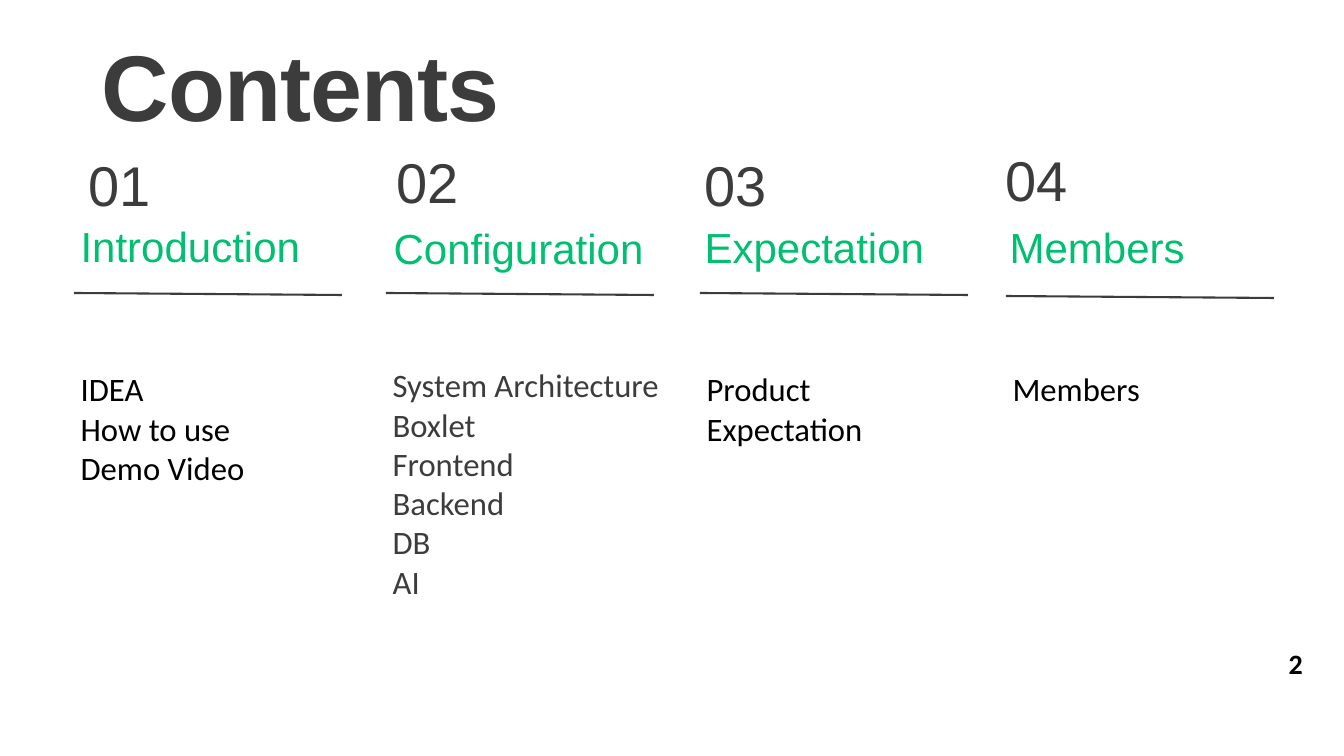
from lxml import etree
from pptx import Presentation
from pptx.enum.shapes import MSO_CONNECTOR
from pptx.enum.text import MSO_ANCHOR
from pptx.dml.color import RGBColor
from pptx.oxml.ns import qn
from pptx.util import Pt

STRAIGHT = MSO_CONNECTOR.STRAIGHT
TOP, MIDDLE = MSO_ANCHOR.TOP, MSO_ANCHOR.MIDDLE

SCALE = 18288000 / 1344
WIDTH, HEIGHT = 1344, 756
RULE_WIDTH, RULE_DROP = 268, 2

COLORS = {"dark": "3C3C3C", "green": "01BF71", "black": "000000"}

STYLES = {
    "heading": {"name": "Arial", "size": Pt(100), "bold": True},
    "number": {"name": "Arial", "size": Pt(60)},
    "title": {"name": "Arial", "size": Pt(45)},
    "items": {"name": "Calibri", "size": Pt(35)},
    "page": {"name": "Calibri", "size": Pt(30), "bold": True},
}

SECTIONS = [
    {"left": 74, "rule_top": 293, "number": ("01", 82, 147),
     "title": ("Introduction", 74, 217),
     "items": ["IDEA", "How to use", "Demo Video"],
     "area": (366, 240, 126), "color": "black"},
    {"left": 386, "rule_top": 293, "number": ("02", 390, 144),
     "title": ("Configuration", 387, 219),
     "items": ["System Architecture", "Boxlet", "Frontend", "Backend", "DB", "AI"],
     "area": (362, 468, 285), "color": "dark"},
    {"left": 700, "rule_top": 293, "number": ("03", 698, 147),
     "title": ("Expectation", 698, 218),
     "items": ["Product", "Expectation"],
     "area": (366, 208, 86), "color": "black"},
    {"left": 1006, "rule_top": 296, "number": ("04", 999, 142),
     "title": ("Members", 1003, 218),
     "items": ["Members"],
     "area": (366, 208, 46), "color": "black"},
]


def px(value):
    return round(value * SCALE)


def add_text(page, lines, area, style, color, anchor=TOP, wrap=True):
    box = page.shapes.add_textbox(*map(px, area))
    frame = box.text_frame
    frame.word_wrap = wrap
    frame.vertical_anchor = anchor
    for index, line in enumerate(lines):
        para = frame.paragraphs[0] if index == 0 else frame.add_paragraph()
        span = para.add_run()
        span.text = line
        for name, value in STYLES[style].items():
            setattr(span.font, name, value)
        span.font.color.rgb = RGBColor.from_string(COLORS[color])
    return box


def add_rule(page, left, top):
    rule = page.shapes.add_connector(
        STRAIGHT, px(left), px(top), px(left + RULE_WIDTH), px(top + RULE_DROP))
    rule.line.width = Pt(2.25)
    rule.line.color.rgb = RGBColor.from_string(COLORS["dark"])
    etree.SubElement(rule._element.spPr, qn("a:effectLst"))


def main():
    deck = Presentation()
    deck.slide_width, deck.slide_height = px(WIDTH), px(HEIGHT)
    page = deck.slides.add_slide(deck.slide_layouts[6])

    heading = add_text(page, ["Contents"], (95, 24, 690, 120), "heading", "dark", MIDDLE)
    heading.text_frame.paragraphs[0].runs[0].font._element.set("spc", "-100")

    for section in SECTIONS:
        number, left, top = section["number"]
        add_text(page, [number], (left, top, 271, 75), "number", "dark")
        title, left, top = section["title"]
        add_text(page, [title], (left, top, 536, 78), "title", "green")
        add_rule(page, section["left"], section["rule_top"])
        add_text(page, section["items"], (section["left"], *section["area"]),
                 "items", section["color"])

    add_text(page, ["2"], (1282, 643, 19, 41), "page", "black", wrap=False)
    deck.save("out.pptx")


if __name__ == "__main__":
    main()
